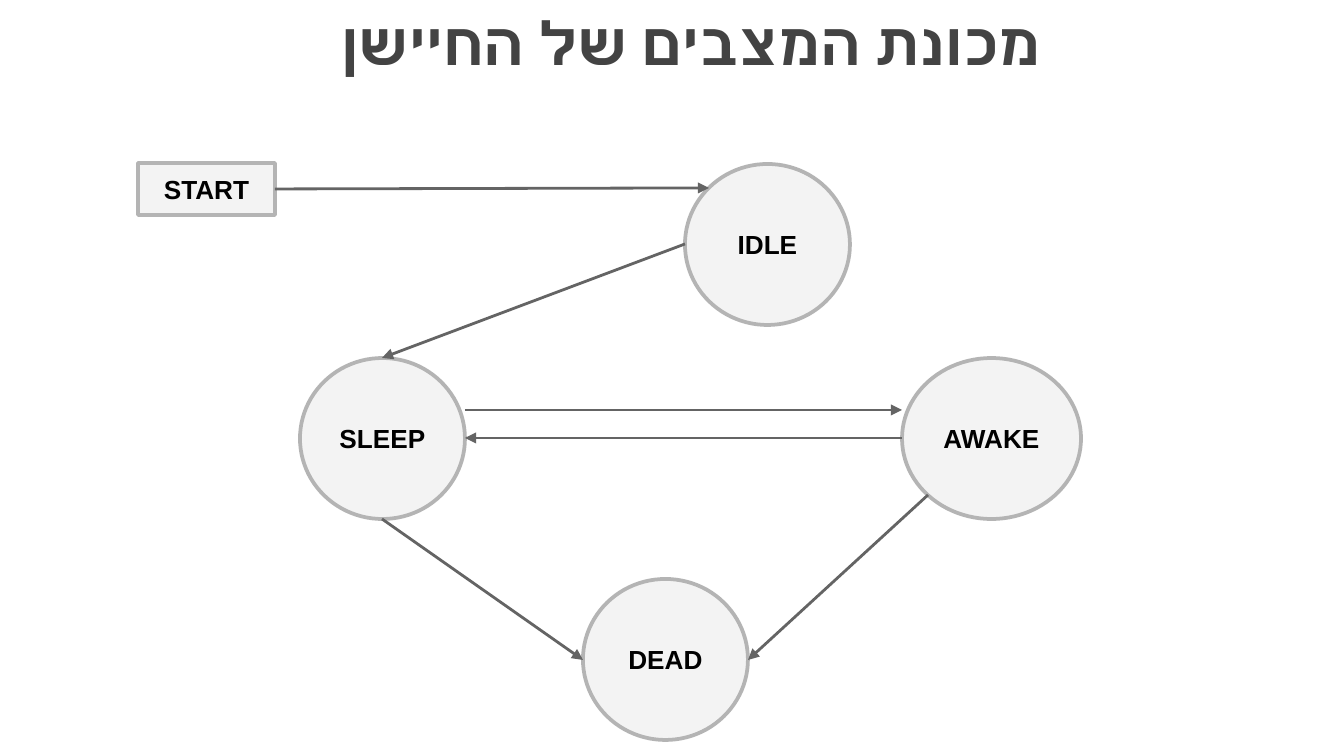
from dataclasses import dataclass
from math import cos, radians, sin

from pptx import Presentation
from pptx.dml.color import RGBColor
from pptx.enum.shapes import MSO_CONNECTOR as CONNECTOR, MSO_SHAPE as SHAPE
from pptx.enum.text import MSO_ANCHOR as ANCHOR, PP_ALIGN as ALIGN
from pptx.oxml.ns import qn
from pptx.util import Emu, Inches, Pt
from lxml.etree import SubElement

PX_PER_INCH = 134.4
WHITE = RGBColor(0xFF, 0xFF, 0xFF)
BLACK = RGBColor(0x00, 0x00, 0x00)
TITLE_GREY = RGBColor(0x43, 0x43, 0x43)
STATE_FILL = RGBColor(0xF3, 0xF3, 0xF3)
STATE_LINE = RGBColor(0xB4, 0xB4, 0xB4)
ARROW_GREY = RGBColor(0x64, 0x64, 0x64)

# Directions on a state's outline, in degrees clockwise from the right
RIGHT, BOTTOM, BOTTOM_LEFT, LEFT, TOP_LEFT, TOP = 0, 90, 135, 180, 225, 270
RECT_RIGHT_SITE = 3


def px(length: float) -> Emu:
    return Emu(round(length * Inches(1) / PX_PER_INCH))


@dataclass(frozen=True)
class State:
    label: str
    left: int
    top: int
    width: int = 165
    height: int = 161
    outline: SHAPE = SHAPE.OVAL

    def edge(self, angle: int) -> tuple[int, int]:
        """Point on the outline; exact for ovals and for side middles."""
        x = self.left + self.width / 2 * (1 + cos(radians(angle)))
        y = self.top + self.height / 2 * (1 + sin(radians(angle)))
        return round(x), round(y)


@dataclass(frozen=True)
class Transition:
    source: State
    source_angle: int
    target: State
    target_angle: int
    rise: int = 0


START = State("START", 138, 163, 137, 52, SHAPE.RECTANGLE)
IDLE = State("IDLE", 685, 164)
SLEEP = State("SLEEP", 300, 358)
AWAKE = State("AWAKE", 902, 358, width=179)
DEAD = State("DEAD", 583, 579)
STATES = (SLEEP, IDLE, AWAKE, START, DEAD)

TRANSITIONS = (
    Transition(START, RIGHT, IDLE, TOP_LEFT),
    Transition(IDLE, LEFT, SLEEP, TOP),
    Transition(SLEEP, RIGHT, AWAKE, LEFT, rise=28),
    Transition(AWAKE, LEFT, SLEEP, RIGHT),
    Transition(SLEEP, BOTTOM, DEAD, LEFT),
    Transition(AWAKE, BOTTOM_LEFT, DEAD, RIGHT),
)


def add_label(paragraph, text: str, font_name: str, size: int, color: RGBColor):
    paragraph.alignment = ALIGN.CENTER
    run = paragraph.add_run()
    run.text = text
    run.font.name = font_name
    run.font.size = Pt(size)
    run.font.bold = True
    run.font.color.rgb = color
    return run


def add_title(slide, text: str) -> None:
    title = slide.shapes.add_textbox(px(254), px(-8), px(875), px(99))
    frame = title.text_frame
    frame.word_wrap = True
    frame.margin_left = frame.margin_right = Inches(0.1)
    frame.margin_top = frame.margin_bottom = Inches(0.1)
    paragraph = frame.paragraphs[0]
    run = add_label(paragraph, text, "Calibri", 32, TITLE_GREY)
    # Hebrew needs right-to-left order and a complex-script font
    paragraph._p.get_or_add_pPr().set("rtl", "1")
    SubElement(run._r.get_or_add_rPr(), qn("a:cs"), typeface="Calibri")


def add_state(slide, state: State):
    node = slide.shapes.add_shape(
        state.outline, px(state.left), px(state.top), px(state.width), px(state.height)
    )
    node.shadow.inherit = False
    node.fill.solid()
    node.fill.fore_color.rgb = STATE_FILL
    node.line.color.rgb = STATE_LINE
    node.line.width = Pt(2)
    frame = node.text_frame
    frame.word_wrap = True
    frame.vertical_anchor = ANCHOR.MIDDLE
    frame.margin_left = frame.margin_right = 0
    add_label(frame.paragraphs[0], state.label, "Arial", 14, BLACK)
    return node


def add_transition(slide, transition: Transition, nodes: dict) -> None:
    x1, y1 = transition.source.edge(transition.source_angle)
    x2, y2 = transition.target.edge(transition.target_angle)
    rise = transition.rise
    arrow = slide.shapes.add_connector(
        CONNECTOR.STRAIGHT, px(x1), px(y1 - rise), px(x2), px(y2 - rise)
    )
    if transition.source.outline == SHAPE.RECTANGLE:
        arrow.begin_connect(nodes[transition.source], RECT_RIGHT_SITE)
    arrow.line.color.rgb = ARROW_GREY
    arrow.line.width = Pt(1.5)
    SubElement(arrow.line._get_or_add_ln(), qn("a:tailEnd"), type="triangle")
    SubElement(arrow._element.spPr, qn("a:effectLst"))


def main() -> None:
    presentation = Presentation()
    presentation.slide_width = px(1344)
    presentation.slide_height = px(756)
    slide = presentation.slides.add_slide(presentation.slide_layouts[6])
    slide.background.fill.solid()
    slide.background.fill.fore_color.rgb = WHITE

    # Title
    add_title(slide, "מכונת המצבים של החיישן")

    # State machine
    nodes = {state: add_state(slide, state) for state in STATES}
    for transition in TRANSITIONS:
        add_transition(slide, transition, nodes)

    presentation.save("out.pptx")


if __name__ == "__main__":
    main()
